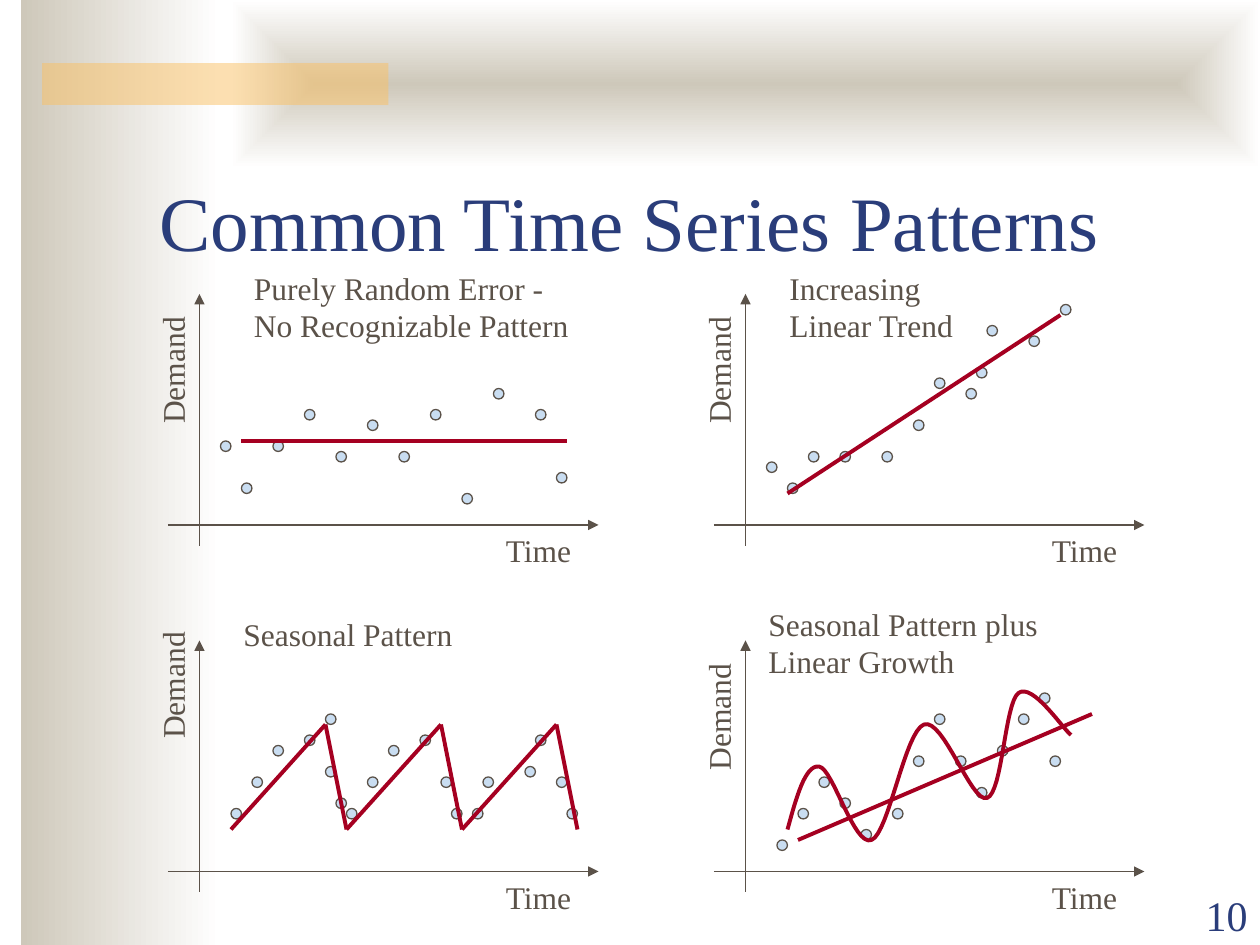
from dataclasses import dataclass
from itertools import pairwise

from lxml.etree import SubElement
from pptx import Presentation
from pptx.dml.color import RGBColor
from pptx.enum.shapes import MSO_CONNECTOR, MSO_SHAPE
from pptx.enum.text import MSO_ANCHOR, MSO_AUTO_SIZE, PP_ALIGN
from pptx.oxml.ns import qn
from pptx.util import Pt


@dataclass(frozen=True)
class Theme:
    """Colours, type and line sizes of the slide."""
    font: str = "Times New Roman"
    navy: RGBColor = RGBColor.from_string("2A3D7A")
    brown: RGBColor = RGBColor.from_string("5B5249")
    red: RGBColor = RGBColor.from_string("A50021")
    dot: RGBColor = RGBColor.from_string("C9DDF1")
    sand: RGBColor = RGBColor.from_string("CEC8BA")
    white: RGBColor = RGBColor.from_string("FFFFFF")
    amber: RGBColor = RGBColor.from_string("FAC164")
    title_size: int = 44
    number_size: int = 24
    label_size: int = 18
    thin: float = 0.75
    thick: float = 2.25


@dataclass(frozen=True)
class Pattern:
    """One demand chart, measured in grid steps from its top left corner."""
    caption: list
    caption_at: tuple
    demand_top: float
    dots: list
    lines: list
    curve: tuple = ()


THEME = Theme()
STEP = 6
PANEL_LEFTS = (96, 408)
PANEL_TOPS = (168, 366)

PATTERNS = [
    Pattern(
        ["Purely Random Error -", "No Recognizable Pattern"], (7, -3), 27.8,
        [(5, 14), (10, 14), (13, 11), (16, 15), (19, 12), (22, 15),
         (25, 11), (28, 19), (31, 9), (35, 11), (37, 17), (7, 18)],
        [(7, 14), (38, 14)]),
    Pattern(
        ["Increasing", "Linear Trend"], (6, -3), 27.8,
        [(5, 16), (12, 15), (9, 15), (16, 15), (19, 12), (21, 8),
         (24, 9), (26, 3), (30, 4), (33, 1), (25, 7), (7, 18)],
        [(7, 19), (33, 2)]),
    Pattern(
        ["Seasonal Pattern"], (6, -3), 9.8,
        [(8, 13), (6, 16), (15, 7), (13, 9), (15, 12), (16, 15), (10, 10),
         (19, 13), (17, 16), (24, 9), (26, 13), (27, 16), (21, 10),
         (30, 13), (29, 16), (35, 9), (37, 13), (38, 16), (34, 12)],
        [(6, 18), (15, 8), (17, 18), (26, 8), (28, 18), (37, 8), (39, 18)]),
    Pattern(
        ["Seasonal Pattern plus Linear Growth"], (4, -4), 27.8,
        [(6, 19), (12, 15), (10, 13), (14, 18), (17, 16), (19, 11), (21, 7),
         (25, 14), (27, 10), (29, 7), (23, 11), (8, 16), (31, 5), (32, 11)],
        [(8, 19), (36, 7)],
        ((5, 30), (7, 18), (10, 12), (15, 19), (20, 8), (26, 15),
         (29, 5), (34, 9), (34, 9))),
]


def format_text(frame, lines, size, color, align=PP_ALIGN.LEFT):
    """Write one paragraph per line in a single style."""
    frame.text = "\n".join(lines)
    for paragraph in frame.paragraphs:
        paragraph.alignment = align
        paragraph.font.name = THEME.font
        paragraph.font.size = Pt(size)
        paragraph.font.color.rgb = color


def add_label(slide, lines, left, top, width, height, wrap=False):
    """Add a text box that grows with its label."""
    box = slide.shapes.add_textbox(Pt(left), Pt(top), Pt(width), Pt(height))
    box.text_frame.word_wrap = wrap
    box.text_frame.auto_size = MSO_AUTO_SIZE.SHAPE_TO_FIT_TEXT
    format_text(box.text_frame, lines, THEME.label_size, THEME.brown)
    return box


def add_line(slide, start, end, color, width, arrow=None):
    """Add a straight line, with an arrowhead at the named end."""
    line = slide.shapes.add_connector(
        MSO_CONNECTOR.STRAIGHT, *(Pt(value) for value in (*start, *end)))
    line.line.color.rgb = color
    line.line.width = Pt(width)
    if arrow:
        SubElement(line.element.spPr.find(qn("a:ln")), qn(arrow), type="triangle")
    SubElement(line.element.spPr, qn("a:effectLst"))


def add_dot(slide, left, top):
    """Add one observation marker."""
    dot = slide.shapes.add_shape(MSO_SHAPE.OVAL, Pt(left), Pt(top), Pt(STEP), Pt(STEP))
    dot.shadow.inherit = False
    dot.fill.solid()
    dot.fill.fore_color.rgb = THEME.dot
    dot.line.color.rgb = THEME.brown
    dot.line.width = Pt(THEME.thin)


def spline(knots, parts=16):
    """Return points of a Catmull-Rom curve through the inner knots."""
    points = [knots[1]]
    for quad in zip(knots, knots[1:], knots[2:], knots[3:]):
        for part in range(1, parts + 1):
            t = part / parts
            points.append(tuple(
                b + t * (c - a) / 2
                + t ** 2 * (2 * a - 5 * b + 4 * c - d) / 2
                + t ** 3 * (3 * b - a - 3 * c + d) / 2
                for a, b, c, d in zip(*quad)))
    return points


def add_curve(slide, points):
    """Add an open, unfilled curve through the points."""
    start, *rest = [(Pt(x), Pt(y)) for x, y in points]
    builder = slide.shapes.build_freeform(*start)
    builder.add_line_segments(rest, close=False)
    curve = builder.convert_to_shape()
    curve.shadow.inherit = False
    curve.fill.background()
    curve.line.color.rgb = THEME.red
    curve.line.width = Pt(THEME.thick)


def add_panel(slide, pattern, left, top):
    """Draw one chart with its axes, labels, dots and pattern lines."""
    def place(point):
        return left + point[0] * STEP, top + point[1] * STEP

    add_line(slide, place((3, 0)), place((3, 24)), THEME.brown, THEME.thin, "a:headEnd")
    add_line(slide, place((0, 22)), place((41, 22)), THEME.brown, THEME.thin, "a:tailEnd")
    add_label(slide, ["Time"], *place((31, 22)), 52.6, 29)
    demand = add_label(slide, ["Demand"], left - 36.3, top + pattern.demand_top, 77.9, 29)
    demand.rotation = 270
    add_label(slide, pattern.caption, *place(pattern.caption_at), 198, 50.4, wrap=True)
    for dot in pattern.dots:
        add_dot(slide, *place(dot))
    for start, end in pairwise(pattern.lines):
        add_line(slide, place(start), place(end), THEME.red, THEME.thick)
    if pattern.curve:
        add_curve(slide, [place(point) for point in spline(pattern.curve)])


def add_band(slide, order, left, top, width, height):
    """Add a borderless rectangle to the slide master, behind its text."""
    band = slide.shapes.add_shape(
        MSO_SHAPE.RECTANGLE, Pt(left), Pt(top), Pt(width), Pt(height))
    band.shadow.inherit = False
    band.line.fill.background()
    band.element.nvSpPr.cNvPr.id = 101 + order
    slide.slide_layout.slide_master.shapes.element.insert(2 + order, band.element)
    return band


def add_backdrop(slide, width, height):
    """Draw the faded side strip, the top banner and the amber bar."""
    strip = add_band(slide, 0, 12, 0, 114, height)
    banner = add_band(slide, 1, 132, 0, width - 132, 96)
    for band in (strip, banner):
        band.fill.gradient()
        band.fill.gradient_angle = 0
        for stop, color in zip(band.fill.gradient_stops, (THEME.sand, THEME.white)):
            stop.color.rgb = color
    gradient = banner.element.spPr.find(qn("a:gradFill"))
    gradient.remove(gradient.find(qn("a:lin")))
    center = SubElement(gradient, qn("a:path"), {"path": "rect"})
    SubElement(center, qn("a:fillToRect"), dict.fromkeys("ltrb", "50000"))

    bar = add_band(slide, 2, 24, 36, 198, 24)
    bar.fill.solid()
    bar.fill.fore_color.rgb = THEME.amber
    color = next(bar.element.spPr.iter(qn("a:srgbClr")))
    SubElement(color, qn("a:alpha"), val="50000")


def add_title(slide, left, top, width, height):
    """Place and format the title placeholder."""
    title = slide.shapes.title
    title.left, title.top, title.width, title.height = map(Pt, (left, top, width, height))
    title.text_frame.vertical_anchor = MSO_ANCHOR.BOTTOM
    title.text_frame.auto_size = MSO_AUTO_SIZE.NONE
    format_text(title.text_frame, ["Common Time Series Patterns"], THEME.title_size, THEME.navy)


def add_page_number(slide, left, top, width, height):
    """Add the page number in the bottom right corner."""
    box = slide.shapes.add_textbox(Pt(left), Pt(top), Pt(width), Pt(height))
    box.text_frame.word_wrap = True
    box.text_frame.vertical_anchor = MSO_ANCHOR.BOTTOM
    format_text(box.text_frame, ["10"], THEME.number_size, THEME.navy, PP_ALIGN.RIGHT)


def main():
    """Build and save the slide."""
    presentation = Presentation()
    presentation.slide_width, presentation.slide_height = Pt(720), Pt(540)
    slide = presentation.slides.add_slide(presentation.slide_layouts[5])
    add_backdrop(slide, 720, 540)
    add_page_number(slide, 648, 504.5, 72, 36)
    add_title(slide, 84, 66, 612, 90)
    corners = [(left, top) for top in PANEL_TOPS for left in PANEL_LEFTS]
    for pattern, corner in zip(PATTERNS, corners):
        add_panel(slide, pattern, *corner)
    presentation.save("out.pptx")


if __name__ == "__main__":
    main()
